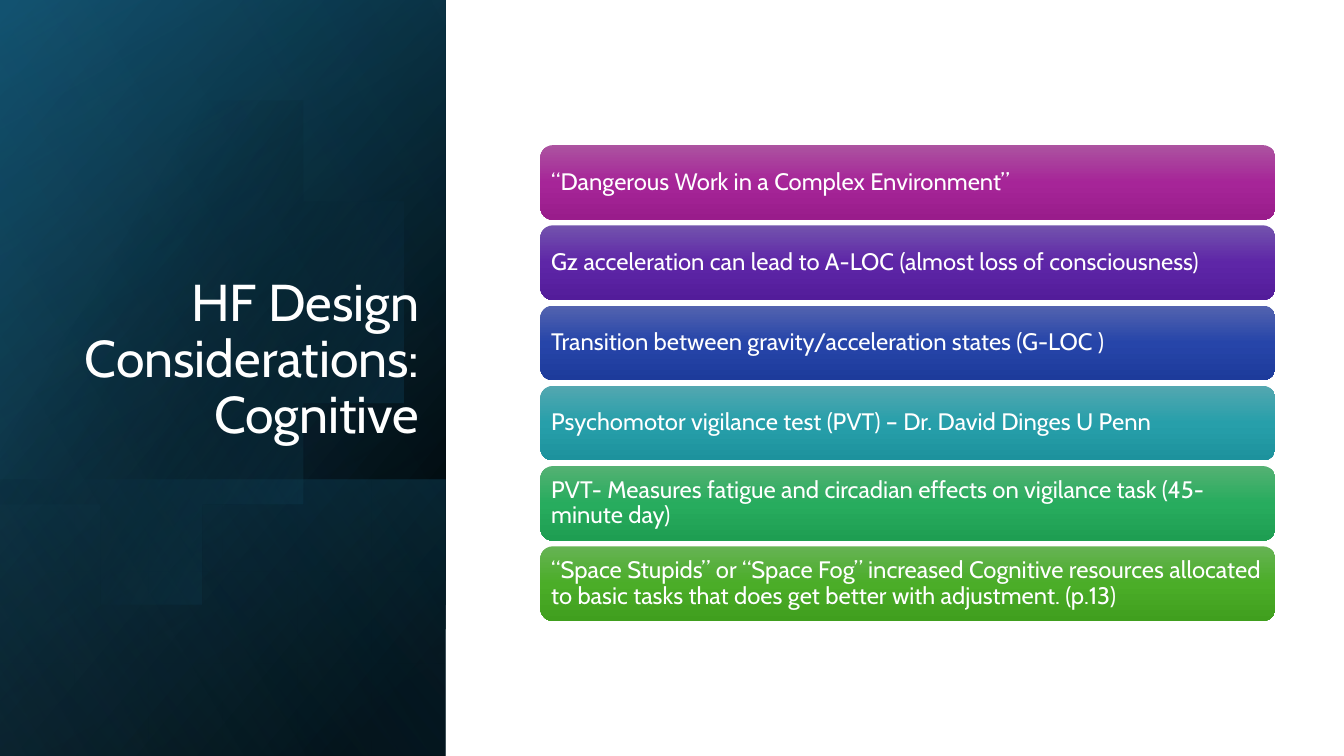
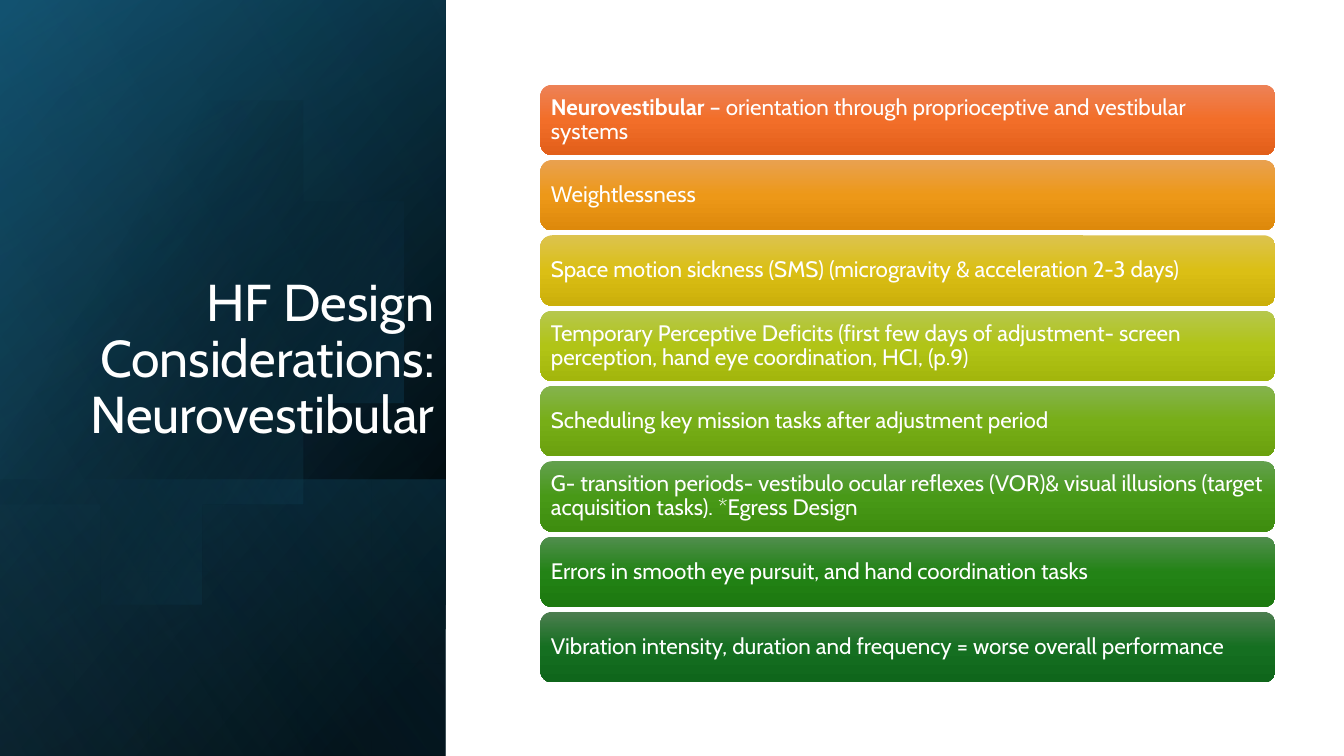
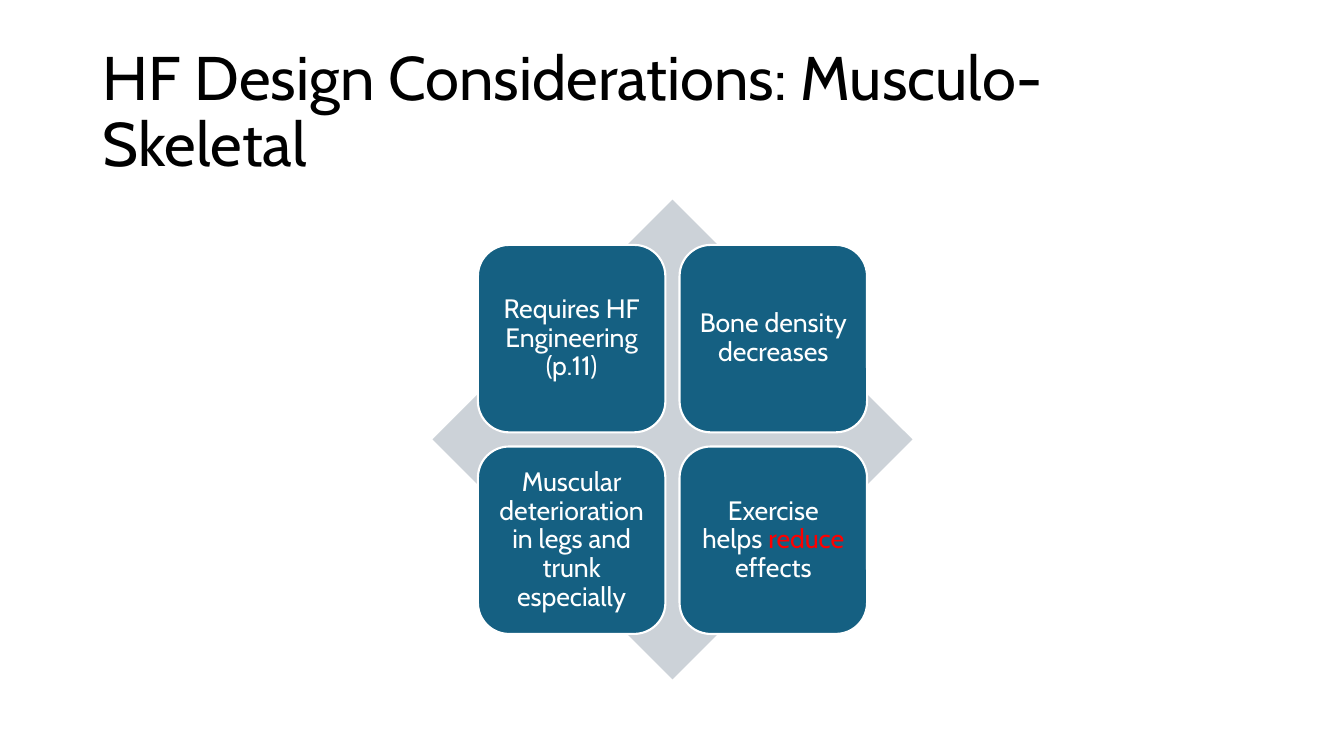
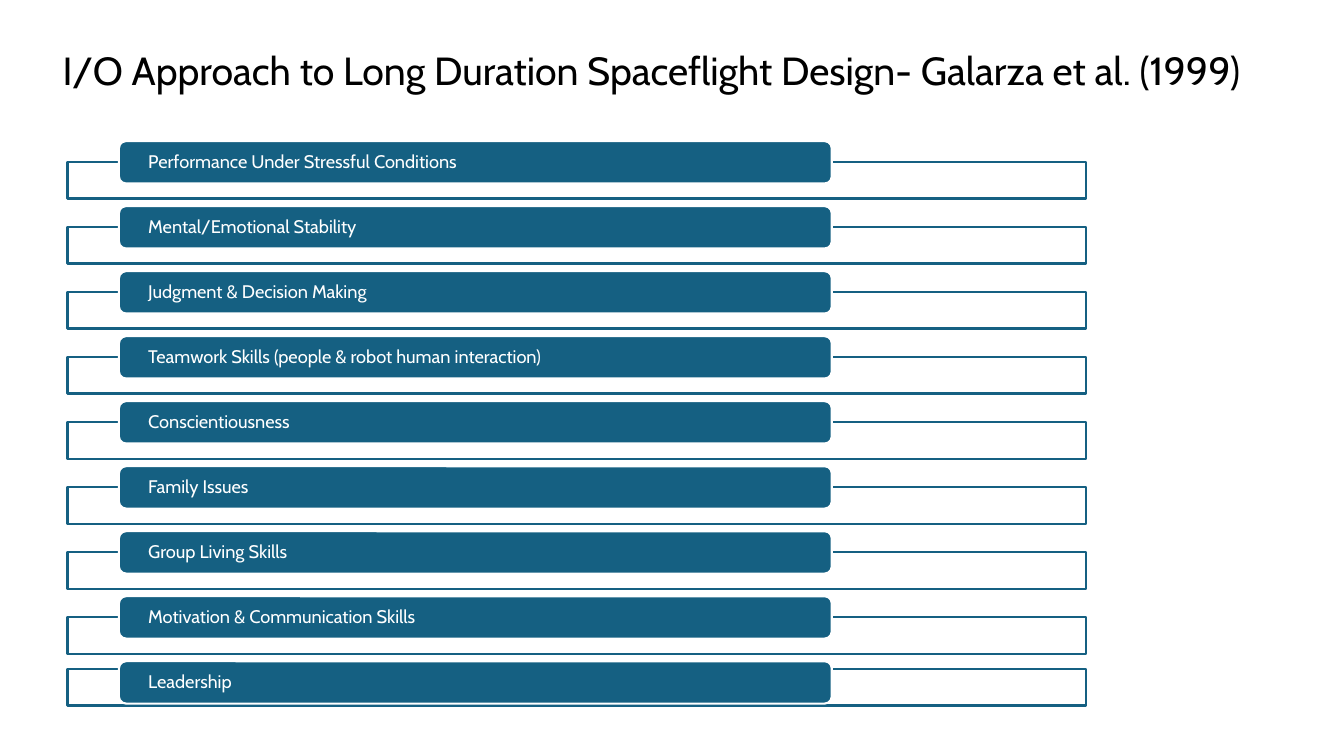
import math

from lxml import etree
from pptx import Presentation, util as u
from pptx.dml.color import RGBColor
from pptx.enum import shapes as s, text as t
from pptx.oxml.ns import qn

FONT = "Cabin"
WHITE, BLACK, BLUE, RED, GREY = "FFFFFF", "000000", "156082", "FF0000", "CCD2D8"
LEFT, CENTER, RIGHT = t.PP_ALIGN.LEFT, t.PP_ALIGN.CENTER, t.PP_ALIGN.RIGHT
MIDDLE, BOTTOM = t.MSO_ANCHOR.MIDDLE, t.MSO_ANCHOR.BOTTOM
RECT, ROUND = s.MSO_SHAPE.RECTANGLE, s.MSO_SHAPE.ROUNDED_RECTANGLE


def paint(shape, fill, angle=270, line=None):
    """Fill with one colour, or with gradient stops (place, colour, opacity)."""
    shape.shadow.inherit = False
    if isinstance(fill, str):
        shape.fill.solid()
        shape.fill.fore_color.rgb = RGBColor.from_string(fill)
    else:
        shape.fill.gradient()
        shape.fill.gradient_angle = angle
        stops = shape.element.spPr.find(qn("a:gradFill")).find(qn("a:gsLst"))
        for old in list(stops):
            stops.remove(old)
        for place, color, alpha in fill:
            stop = etree.SubElement(stops, qn("a:gs"), pos=str(place * 1000))
            tone = etree.SubElement(stop, qn("a:srgbClr"), val=color)
            if alpha < 100:
                etree.SubElement(tone, qn("a:alpha"), val=str(alpha * 1000))
    if line:
        shape.line.color.rgb = RGBColor.from_string(line)
        shape.line.width = u.Pt(1.5)
    else:
        shape.line.fill.background()


def write(shape, words, size, color=WHITE, align=LEFT, anchor=MIDDLE, inset=(0.1, 0.05)):
    """Set one paragraph; a bar in the words starts a new run."""
    frame = shape.text_frame
    frame.word_wrap, frame.auto_size = True, t.MSO_AUTO_SIZE.NONE
    frame.vertical_anchor = anchor
    frame.margin_left = frame.margin_right = u.Inches(inset[0])
    frame.margin_top = frame.margin_bottom = u.Inches(inset[1])
    para = frame.paragraphs[0]
    if "|" in words:
        for part in words.split("|"):
            para.add_run().text = part
    else:
        para.text = words
    para.alignment, para.line_spacing = align, 0.9
    para.font.name, para.font.size = FONT, u.Pt(size)
    para.font.color.rgb = RGBColor.from_string(color)
    return para


prs = Presentation()
prs.slide_width, prs.slide_height = u.Inches(13.33), u.Inches(7.5)

# Titles: words, place, size, colour, alignment, anchor
titles = [
    ("HF Design Considerations:\vCognitive", (0.64, 1.84, 3.62, 2.62), 37, WHITE, RIGHT, BOTTOM),
    ("HF Design Considerations:\vNeurovestibular", (0.64, 1.84, 3.77, 2.62), 37, WHITE, RIGHT, BOTTOM),
    ("HF Design Considerations: Musculo-Skeletal", (0.92, 0.4, 11.5, 1.45), 44, BLACK, LEFT, MIDDLE),
    ("I/O Approach to Long Duration Spaceflight Design- Galarza et al. (1999)",
     (0.52, 0, 12.81, 1.45), 28, BLACK, LEFT, MIDDLE),
]
slides = []
for words, place, *style in titles:
    slide = prs.slides.add_slide(prs.slide_layouts[5])
    head = slide.shapes.title
    head.left, head.top, head.width, head.height = map(u.Inches, place)
    write(head, words, *style)
    slides.append(slide)

# Slides 1 and 2: dark side panel and a stack of coloured bars
PANEL = 4.42
layers = [
    (0, [(8, BLACK, 100), (100, "104862", 100)], 140),
    (0, [(0, BLACK, 0), (99, BLUE, 46)], 120),
    (4.76, [(2, BLUE, 29), (100, BLACK, 30)], 220),
    (None, [(29, BLACK, 0), (100, BLUE, 43)], 330),
    (0, [(0, BLACK, 0), (99, "46B1E1", 11)], 210),
]
MID_X, MID_Y, RADIUS = 1.47, 3.35, 2.26
reach = math.acos(-MID_X / RADIUS)
arc = [(MID_X + RADIUS * math.cos(reach * k / 60), MID_Y + RADIUS * math.sin(reach * k / 60))
       for k in range(-60, 61)]

# Stacks: first top, last top, bar height, text size, rows
stacks = [
    (1.44, 5.42, 0.74, 17, [
        ("“Dangerous Work in a Complex Environment”", "AC53A0 A62598 991C8B"),
        ("Gz acceleration can lead to A-LOC (almost loss of consciousness)", "7353AD 5E26A7 531C9A"),
        ("Transition between gravity/acceleration states (G-LOC )", "5363AF 2645A9 1D3B9B"),
        ("Psychomotor vigilance test (PVT) – Dr. David Dinges U Penn", "53A7B0 279FAA 1D929D"),
        ("PVT- Measures fatigue and circadian effects on vigilance task (45-minute day)",
         "54B173 27AC5E 1E9E52"),
        ("“Space Stupids” or “Space Fog” increased Cognitive resources allocated to basic tasks "
         "that does get better with adjustment. (p.13)", "66B354 4BAD28 409F1E"),
    ]),
    (0.84, 6.07, 0.7, 16, [
        ("Neurovestibular| – orientation through proprioceptive and vestibular systems",
         "ED8257 F26E29 E25F1A"),
        ("Weightlessness", "E9A150 ED9818 DE890B"),
        ("Space motion sickness (SMS) (microgravity & acceleration 2-3 days)", "DCC34E DBBF15 CBAF0A"),
        ("Temporary Perceptive Deficits (first few days of adjustment- screen perception, "
         "hand eye coordination, HCI, (p.9)", "B6C74E B1C416 A3B60C"),
        ("Scheduling key mission tasks after adjustment period", "85B34E 77AE17 6BA10E"),
        ("G- transition periods- vestibulo ocular reflexes (VOR)& visual illusions "
         "(target acquisition tasks). *Egress Design", "63A04E 489917 3E8D0F"),
        ("Errors in smooth eye pursuit, and hand coordination tasks", "518E4E 238316 1C790F"),
        ("Vibration intensity, duration and frequency = worse overall performance",
         "4D7E50 156F21 0F661B"),
    ]),
]
for slide, (first, last, high, size, rows) in zip(slides, stacks):
    for top, stops, angle in layers:
        if top is None:
            pen = slide.shapes.build_freeform(*arc[0], scale=u.Inches(1))
            pen.add_line_segments(arc[1:])
            layer = pen.convert_to_shape()
        else:
            layer = slide.shapes.add_shape(RECT, 0, u.Inches(top), u.Inches(PANEL), u.Inches(7.5 - top))
        paint(layer, stops, angle)
    slide.shapes.element.append(slide.shapes.title.element)  # title above the panel

    pitch = (last - first) / (len(rows) - 1)
    for i, (words, colors) in enumerate(rows):
        bar = slide.shapes.add_shape(ROUND, u.Inches(5.36), u.Inches(first + i * pitch),
                                     u.Inches(7.29), u.Inches(high))
        paint(bar, [(place, color, 100) for place, color in zip((0, 50, 100), colors.split())])
        para = write(bar, words, size, inset=(0.07, 0.07))
        if "|" in words:
            para.runs[0].font.bold = True

# Slide 3: four tiles on a diamond
slide = slides[2]
gem = slide.shapes.add_shape(s.MSO_SHAPE.DIAMOND, u.Inches(4.29), u.Inches(1.98),
                             u.Inches(4.76), u.Inches(4.76))
paint(gem, GREY)
tiles = ["Requires HF Engineering (p.11)", "Bone density decreases",
         "Muscular deterioration in legs and trunk especially", "Exercise helps |reduce| effects"]
for i, words in enumerate(tiles):
    row, col = divmod(i, 2)
    tile = slide.shapes.add_shape(ROUND, u.Inches(4.74 + 2 * col), u.Inches(2.43 + 2 * row),
                                  u.Inches(1.86), u.Inches(1.86))
    paint(tile, BLUE, line=WHITE)
    para = write(tile, words, 19, align=CENTER, inset=(0.08, 0.08))
    if "|" in words:
        para.runs[1].font.color.rgb = RGBColor.from_string(RED)

# Slide 4: labels over open frames
slide = slides[3]
skills = ["Performance Under Stressful Conditions", "Mental/Emotional Stability",
          "Judgment & Decision Making", "Teamwork Skills (people & robot human interaction)",
          "Conscientiousness", "Family Issues", "Group Living Skills",
          "Motivation & Communication Skills", "Leadership"]
for i, words in enumerate(skills):
    top = 1.4 + i * 5.16 / 8
    drop = 0.08 if words == skills[-1] else 0.21
    box = slide.shapes.add_shape(RECT, u.Inches(0.67), u.Inches(top + drop),
                                 u.Inches(10.1), u.Inches(0.36))
    paint(box, WHITE, line=BLUE)
    label = slide.shapes.add_shape(ROUND, u.Inches(1.18), u.Inches(top), u.Inches(7.07), u.Inches(0.42))
    paint(label, BLUE, line=WHITE)
    write(label, words, 13, inset=(0.27, 0))

prs.save("out.pptx")
